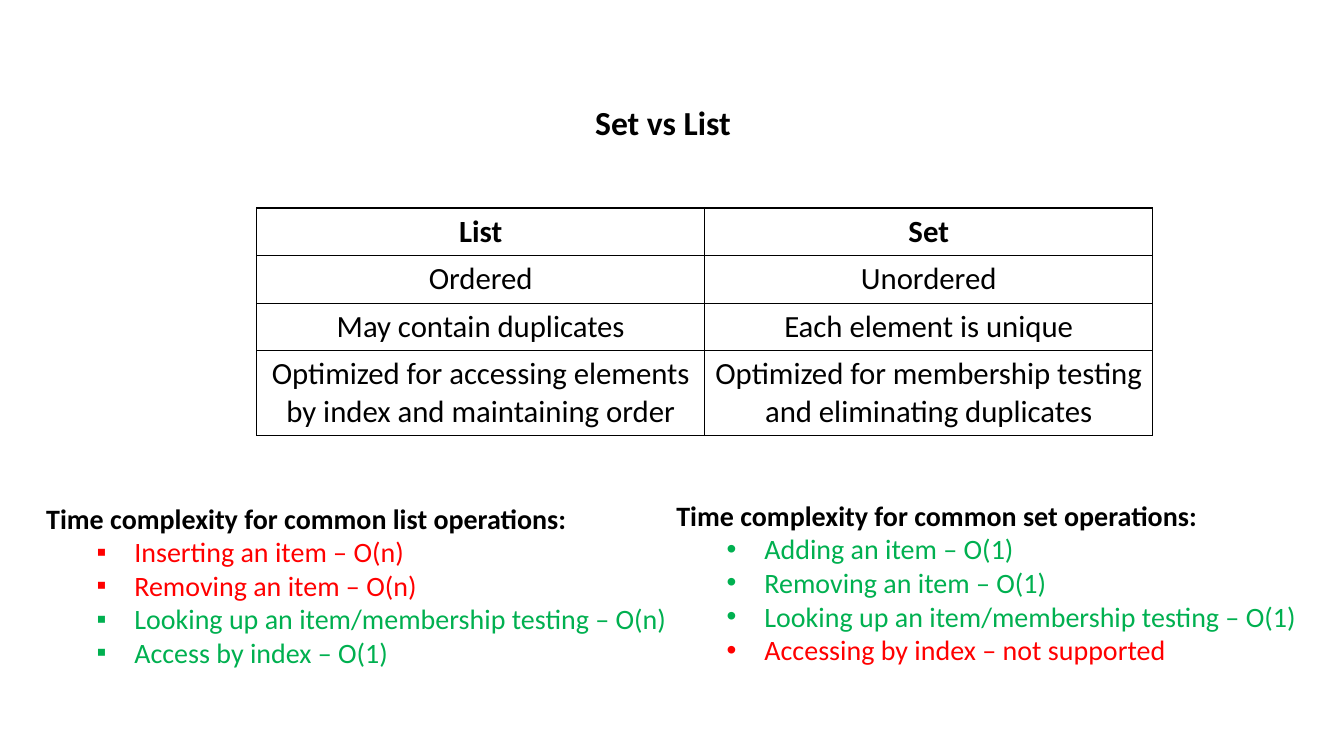
from lxml import etree
from pptx import Presentation
from pptx.dml.color import RGBColor
from pptx.enum import text as txt
from pptx.oxml import ns
from pptx.util import Cm, Pt

HUES = {"ink": "000000", "good": "00B050", "bad": "FF0000"}
FONT = "Calibri"

ROWS = [
    ("List", "Set"),
    ("Ordered", "Unordered"),
    ("May contain duplicates", "Each element is unique"),
    ("Optimized for accessing elements by index and maintaining order",
     "Optimized for membership testing and eliminating duplicates"),
]
HIGHS = [1.19, 1.19, 1.19, 2.1]

LIST_OPS = [
    ("Inserting an item – O(n)", "bad"),
    ("Removing an item – O(n)", "bad"),
    ("Looking up an item/membership testing – O(n)", "good"),
    ("Access by index – O(1)", "good"),
]
SET_OPS = [
    ("Adding an item – O(1)", "good"),
    ("Removing an item – O(1)", "good"),
    ("Looking up an item/membership testing – O(1)", "good"),
    ("Accessing by index – not supported", "bad"),
]


def add_sub(node, tag, **attrs):
    return etree.SubElement(node, ns.qn(tag), attrs)


def write(para, words, size=20, hue="ink", bold=False, align="LEFT", mark=None):
    """Fill one paragraph with formatted text; mark is its bullet sign."""
    para.text = words
    para.alignment = getattr(txt.PP_ALIGN, align)
    para.line_spacing = 1.0
    para.space_before = para.space_after = Pt(0)
    props = para._p.get_or_add_pPr()
    if mark:
        para.level = 1
        props.set("marL", str(Cm(2.22)))
        props.set("indent", str(Cm(-0.95)))
        add_sub(props, "a:buFont", typeface="Arial")
        add_sub(props, "a:buChar", char=mark)
    else:
        props.set("marL", "0")
        props.set("indent", "0")
        add_sub(props, "a:buNone")
    font = para.runs[0].font
    font.name, font.size, font.bold = FONT, Pt(size), bold
    font.color.rgb = RGBColor.from_string(HUES[hue])


def place(shape, left, top, width, height):
    """Move a placeholder and return its text frame."""
    shape.left, shape.top = Cm(left), Cm(top)
    shape.width, shape.height = Cm(width), Cm(height)
    frame = shape.text_frame
    frame.auto_size = txt.MSO_AUTO_SIZE.NONE
    frame.word_wrap = True
    return frame


def add_ops(shape, left, top, head, items, mark):
    frame = place(shape, left, top, 16.3, 4.52)
    frame.vertical_anchor = txt.MSO_ANCHOR.TOP
    write(frame.paragraphs[0], head, bold=True)
    for words, hue in items:
        write(frame.add_paragraph(), words, hue=hue, mark=mark)


def rule_cell(cell):
    """Draw thin lines on all four sides of a cell, with no fill."""
    props = cell._tc.get_or_add_tcPr()
    for side in ("L", "R", "T", "B"):
        line = add_sub(props, "a:ln" + side, w=str(Pt(1)))
        fill = add_sub(line, "a:solidFill")
        add_sub(fill, "a:srgbClr", val=HUES["ink"])
    cell.fill.background()


def add_grid(slide):
    frame = slide.shapes.add_table(
        len(ROWS), 2, Cm(6.47), Cm(5.24), Cm(22.58), Cm(sum(HIGHS)))
    grid = frame.table
    for r, pair in enumerate(ROWS):
        grid.rows[r].height = Cm(HIGHS[r])
        for c, words in enumerate(pair):
            cell = grid.cell(r, c)
            rule_cell(cell)
            write(cell.text_frame.paragraphs[0], words, size=22,
                  bold=r == 0, align="CENTER")


def main():
    deck = Presentation()
    deck.slide_width, deck.slide_height = Cm(33.87), Cm(19.05)
    slide = deck.slides.add_slide(deck.slide_layouts.get_by_name("Two Content"))
    title, left, right = slide.placeholders

    # Title
    frame = place(title, 14.73, 2.44, 3.96, 1.28)
    frame.word_wrap = False
    write(frame.paragraphs[0], "Set vs List", size=24, bold=True, align="CENTER")

    # Comparison table
    add_grid(slide)

    # Time complexity lists
    add_ops(left, 0.91, 12.5, "Time complexity for common list operations:",
            LIST_OPS, "▪")
    add_ops(right, 16.79, 12.43, "Time complexity for common set operations:",
            SET_OPS, "•")

    deck.save("out.pptx")


if __name__ == "__main__":
    main()
